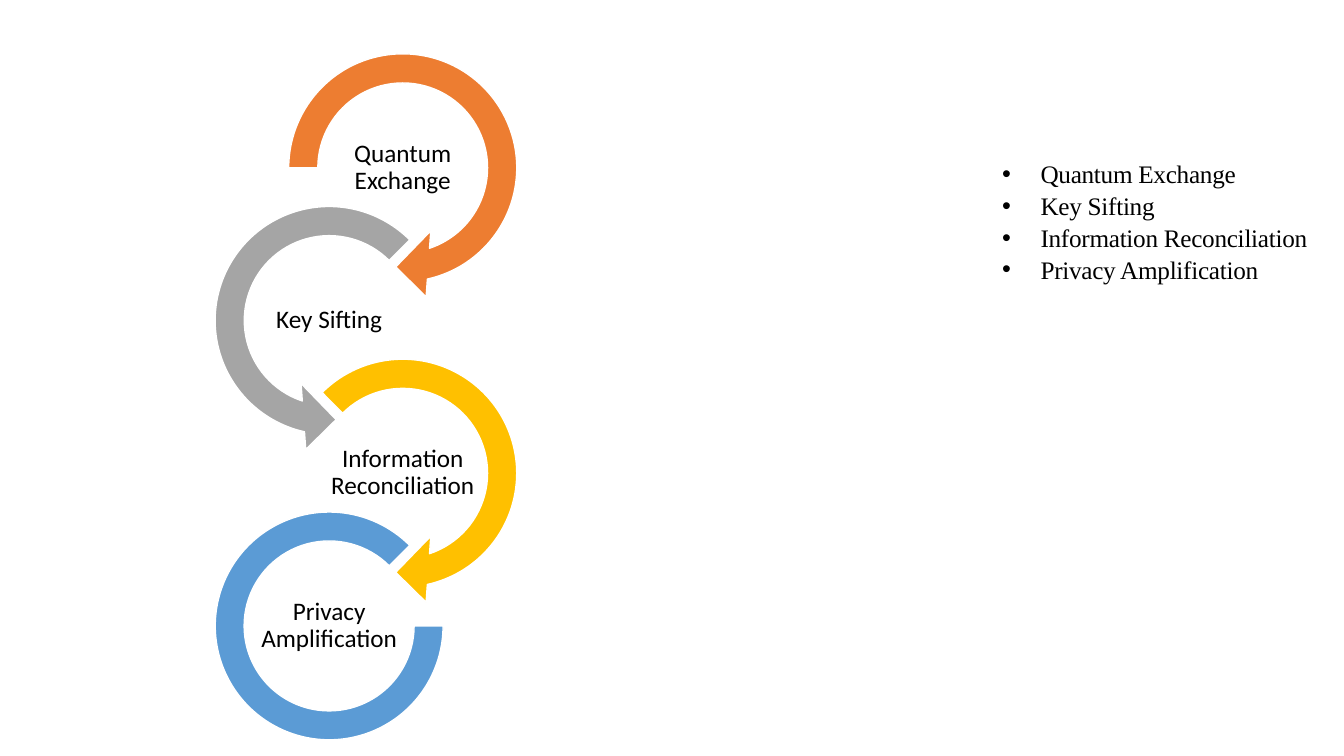
"""Builds a slide with a four-step circular process and a bulleted list of its steps."""
import pptx
import pptx.dml.color
import pptx.enum.shapes
import pptx.enum.text
import pptx.util

Inches = pptx.util.Inches
Pt = pptx.util.Pt
RGB = pptx.dml.color.RGBColor.from_string
PRESETS = pptx.enum.shapes.MSO_SHAPE
ALIGN = pptx.enum.text.PP_ALIGN

COLORS = {
    "exchange": "ED7D31",
    "sifting": "A5A5A5",
    "reconciliation": "FFC000",
    "amplification": "5B9BD5",
    "outline": "FFFFFF",
    "text": "000000",
}
STEPS = [
    ("Quantum Exchange", "exchange", PRESETS.CIRCULAR_ARROW, (0.11, 11.423, 45, 108, 0.125)),
    ("Key Sifting", "sifting", PRESETS.LEFT_CIRCULAR_ARROW, (0.11, 11.423, 63, 189, 0.125)),
    ("Information Reconciliation", "reconciliation", PRESETS.CIRCULAR_ARROW,
     (0.11, 11.423, 45, 135, 0.125)),
    ("Privacy Amplification", "amplification", PRESETS.BLOCK_ARC, (0, 189, 0.127)),
]
COLUMN_LEFTS = (2.68, 1.95)
FIRST_TOP, ROW_PITCH = 0.35, 1.515
RING_SIZE, ARC_SIZE = 2.63, 2.26
LABEL_WIDTH, LABEL_HEIGHT, LABEL_DROP = 1.47, 0.73, 0.95
LIST_BOX = (9.84, 1.51, 4.09, 1.71)
LIST_INDENT = 0.38


def format_text(paragraph, font_name, line_spacing, alignment):
    """Set the paragraph's alignment and spacing and the font of its runs."""
    paragraph.alignment = alignment
    paragraph.line_spacing = line_spacing
    paragraph.space_before = Pt(0)
    for run in paragraph.runs:
        run.font.name = font_name
        run.font.size = Pt(18)
        run.font.color.rgb = RGB(COLORS["text"])


def add_list(step_list):
    """Fill the body placeholder with one bullet per step."""
    step_list.left, step_list.top, step_list.width, step_list.height = map(Inches, LIST_BOX)
    frame = step_list.text_frame
    frame.auto_size = pptx.enum.text.MSO_AUTO_SIZE.NONE
    frame.text = "\n".join(step[0] for step in STEPS)
    for paragraph in frame.paragraphs:
        format_text(paragraph, "Times New Roman", 1.05, ALIGN.JUSTIFY)
        properties = paragraph._p.get_or_add_pPr()
        properties.set("marL", str(Inches(LIST_INDENT)))
        properties.set("indent", str(-Inches(LIST_INDENT)))
        for run in paragraph.runs:
            run._r.get_or_add_rPr().set("spc", "-20")


def add_step(slide, row, name, color, preset, adjustments):
    """Draw one ring and the label at its centre."""
    left = COLUMN_LEFTS[row % 2]
    top = FIRST_TOP + row * ROW_PITCH
    size = ARC_SIZE if preset == PRESETS.BLOCK_ARC else RING_SIZE
    inset = (RING_SIZE - size) / 2
    ring = slide.shapes.add_shape(
        preset, Inches(left + inset), Inches(top + inset), Inches(size), Inches(size))
    for index, value in enumerate(adjustments):
        ring.adjustments[index] = value
    ring.shadow.inherit = False
    ring.fill.solid()
    ring.fill.fore_color.rgb = RGB(COLORS[color])
    ring.line.color.rgb = RGB(COLORS["outline"])
    ring.line.width = Pt(1)

    label = slide.shapes.add_textbox(
        Inches(left + (RING_SIZE - LABEL_WIDTH) / 2), Inches(top + LABEL_DROP),
        Inches(LABEL_WIDTH), Inches(LABEL_HEIGHT))
    frame = label.text_frame
    frame.word_wrap = True
    frame.vertical_anchor = pptx.enum.text.MSO_ANCHOR.MIDDLE
    frame.margin_left = frame.margin_right = Inches(0.01)
    frame.margin_top = frame.margin_bottom = Inches(0.01)
    frame.text = name
    format_text(frame.paragraphs[0], "Calibri", 0.9, ALIGN.CENTER)


def main():
    """Build and save the slide."""
    deck = pptx.Presentation()
    deck.slide_width, deck.slide_height = Inches(13.33), Inches(7.5)
    slide = deck.slides.add_slide(deck.slide_layouts[1])
    title = slide.shapes.title
    title.element.getparent().remove(title.element)
    add_list(slide.placeholders[1])
    for row, step in enumerate(STEPS):
        add_step(slide, row, *step)
    deck.save("out.pptx")


if __name__ == "__main__":
    main()
